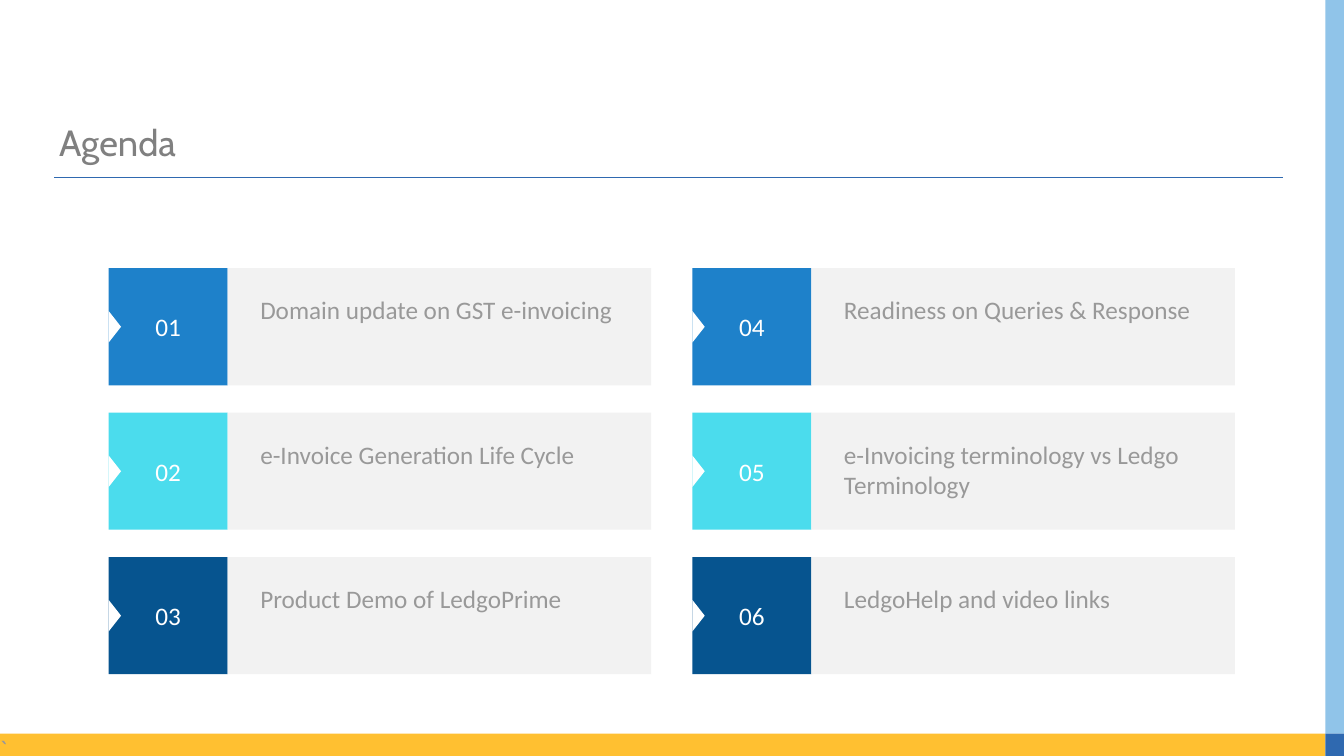
import pptx
import pptx.util
import pptx.dml.color
import pptx.enum.shapes
import pptx.enum.text
import pptx.oxml
import pptx.oxml.ns

Cm = pptx.util.Cm
Pt = pptx.util.Pt
RGBColor = pptx.dml.color.RGBColor
Shape = pptx.enum.shapes.MSO_SHAPE
Anchor = pptx.enum.text.MSO_ANCHOR
Align = pptx.enum.text.PP_ALIGN

WHITE = RGBColor(0xFF, 0xFF, 0xFF)
PANEL_GREY = RGBColor(0xF2, 0xF2, 0xF2)
TEXT_GREY = RGBColor(0x99, 0x99, 0x99)
TITLE_GREY = RGBColor(0x80, 0x80, 0x80)
BLUE = RGBColor(0x1E, 0x81, 0xCA)
CYAN = RGBColor(0x4B, 0xDC, 0xED)
NAVY = RGBColor(0x06, 0x54, 0x8F)
YELLOW = RGBColor(0xFF, 0xC0, 0x31)
SKY = RGBColor(0x90, 0xC4, 0xE9)
RULE_BLUE = RGBColor(0x2F, 0x69, 0xB0)

SLIDE_WIDTH, SLIDE_HEIGHT = 33.87, 19.05
SIDE_LEFT, FOOTER_TOP = 33.4, 18.49
FIRST_LEFT, COLUMN_PITCH = 2.74, 14.71
FIRST_TOP, ROW_PITCH = 6.76, 3.64
TILE_WIDTH, ROW_HEIGHT, PANEL_WIDTH = 3.0, 2.95, 10.67
NOTCH_BASE, NOTCH_DEPTH = 0.79, 0.31
TOPIC_INDENT, TOPIC_DROP, TOPIC_WIDTH = 3.57, 0.54, 9.47

ROW_COLORS = [BLUE, CYAN, NAVY]
TOPICS = [
    "Domain update on GST e-invoicing",
    "e-Invoice Generation Life Cycle",
    "Product Demo of LedgoPrime",
    "Readiness on Queries & Response",
    "e-Invoicing terminology vs Ledgo Terminology",
    "LedgoHelp and video links",
]


class AgendaSlide:
    body_font = "Calibri"
    title_font = "Cabin"
    body_size = 18

    def __init__(self, presentation):
        self.slide = presentation.slides.add_slide(presentation.slide_layouts[6])

    def fill_text(self, shape, text, color, size=body_size, font=body_font):
        frame = shape.text_frame
        frame.word_wrap = True
        frame.text = text
        paragraph = frame.paragraphs[0]
        run_font = paragraph.runs[0].font
        run_font.name = font
        run_font.size = Pt(size)
        run_font.color.rgb = color
        return paragraph

    def block(self, left, top, width, height, color, kind=Shape.RECTANGLE):
        shape = self.slide.shapes.add_shape(
            kind, Cm(left), Cm(top), Cm(width), Cm(height))
        shape.shadow.inherit = False
        shape.fill.solid()
        shape.fill.fore_color.rgb = color
        shape.line.fill.background()
        return shape

    def text(self, left, top, width, height, text, color, **style):
        box = self.slide.shapes.add_textbox(
            Cm(left), Cm(top), Cm(width), Cm(height))
        self.fill_text(box, text, color, **style)
        return box

    def rule(self, left, top, right, color, width):
        line = self.slide.shapes.add_connector(
            pptx.enum.shapes.MSO_CONNECTOR.STRAIGHT,
            Cm(left), Cm(top), Cm(right), Cm(top))
        line.line.color.rgb = color
        line.line.width = Pt(width)
        properties = line._element.spPr
        properties.append(pptx.oxml.parse_xml(
            "<a:effectLst %s/>" % pptx.oxml.ns.nsdecls("a")))

    def frame(self):
        self.rule(1.37, 4.47, 32.33, RULE_BLUE, 0.82)
        footer = self.block(0, FOOTER_TOP, SIDE_LEFT, SLIDE_HEIGHT - FOOTER_TOP, YELLOW)
        text_frame = footer.text_frame
        text_frame.margin_left = text_frame.margin_right = 0
        text_frame.margin_top = text_frame.margin_bottom = 0
        text_frame.vertical_anchor = Anchor.TOP
        self.fill_text(footer, "`", TEXT_GREY).alignment = Align.LEFT
        side_width = SLIDE_WIDTH - SIDE_LEFT
        self.block(SIDE_LEFT, 0, side_width, FOOTER_TOP, SKY)
        self.block(SIDE_LEFT, FOOTER_TOP, side_width, SLIDE_HEIGHT - FOOTER_TOP, RULE_BLUE)

    def title(self, text):
        box = self.text(1.24, 3.0, 30.99, 1.27, text, TITLE_GREY,
                        size=26, font=self.title_font)
        box.text_frame.vertical_anchor = Anchor.MIDDLE
        box.text_frame.paragraphs[0].line_spacing = 0.9

    def agenda_item(self, index, topic):
        column, row = divmod(index, len(ROW_COLORS))
        left = FIRST_LEFT + column * COLUMN_PITCH
        top = FIRST_TOP + row * ROW_PITCH
        tile = self.block(left, top, TILE_WIDTH, ROW_HEIGHT, ROW_COLORS[row])
        tile.text_frame.vertical_anchor = Anchor.MIDDLE
        self.fill_text(tile, f"{index + 1:02d}", WHITE).alignment = Align.CENTER
        self.block(left + TILE_WIDTH, top, PANEL_WIDTH, ROW_HEIGHT, PANEL_GREY)
        notch = self.block(left + (NOTCH_DEPTH - NOTCH_BASE) / 2,
                           top + (ROW_HEIGHT - NOTCH_DEPTH) / 2,
                           NOTCH_BASE, NOTCH_DEPTH, WHITE, Shape.ISOSCELES_TRIANGLE)
        notch.rotation = 90
        self.text(left + TOPIC_INDENT, top + TOPIC_DROP, TOPIC_WIDTH, 1.02,
                  topic, TEXT_GREY)


def main():
    presentation = pptx.Presentation()
    presentation.slide_width = Cm(SLIDE_WIDTH)
    presentation.slide_height = Cm(SLIDE_HEIGHT)
    agenda = AgendaSlide(presentation)
    agenda.frame()
    agenda.title("Agenda")
    for index, topic in enumerate(TOPICS):
        agenda.agenda_item(index, topic)
    presentation.save("out.pptx")


if __name__ == "__main__":
    main()
